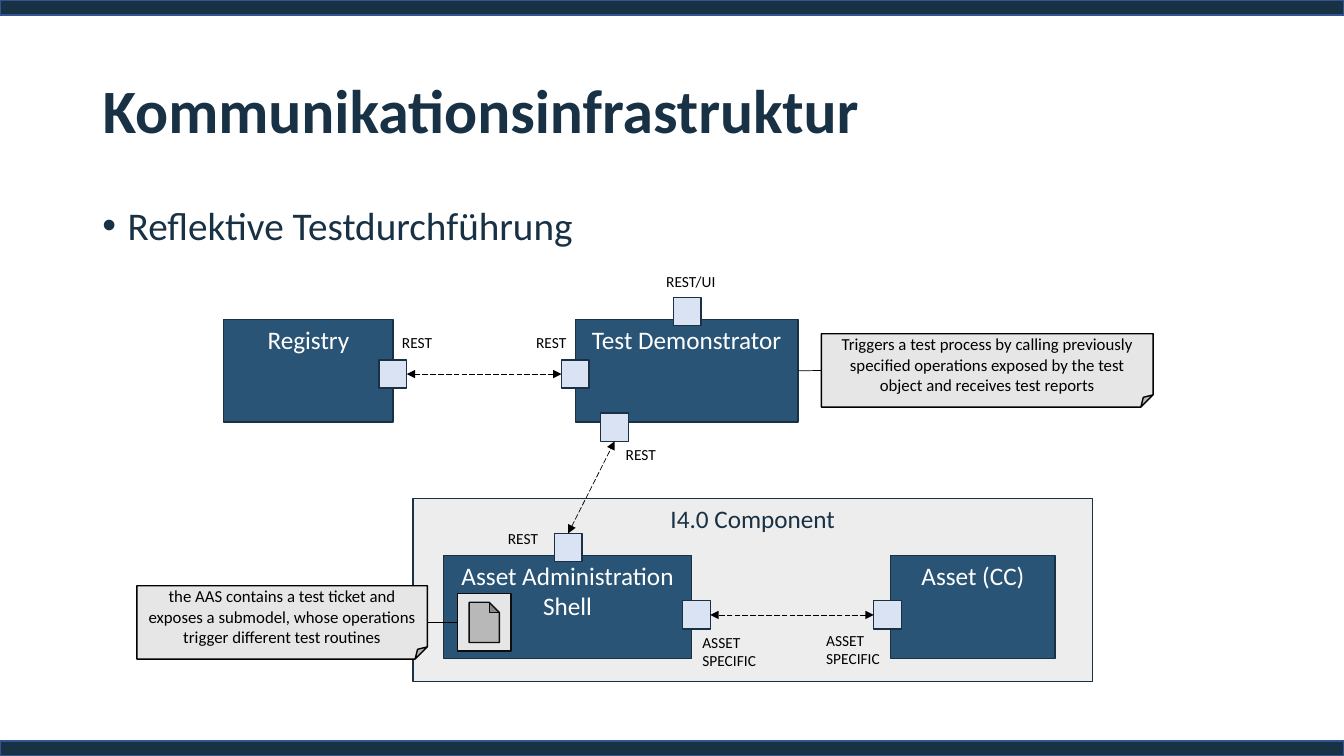
from lxml import etree
from pptx import Presentation
from pptx import util as u
from pptx.dml.color import RGBColor
from pptx.enum import dml, shapes, text
from pptx.oxml import ns

NAVY, BLUE, PALE = "183144", "295475", "DAE3F3"
GREY, BLACK, WHITE = "E7E6E6", "000000", "FFFFFF"
KIND = shapes.MSO_SHAPE
TOP, MID = text.MSO_ANCHOR.TOP, text.MSO_ANCHOR.MIDDLE
UP, LEFT, DOWN, RIGHT = range(4)


def color(code):
    return RGBColor.from_string(code)


def child(parent, tag, **attrs):
    return etree.SubElement(parent, ns.qn(tag), attrs)


class Board:
    font = "Calibri"

    def __init__(self, slide):
        self.slide = slide

    def letter(self, shape, words, size, ink, anchor=TOP, align=None, bold=False):
        frame = shape.text_frame
        frame.word_wrap = True
        frame.vertical_anchor = anchor
        para = frame.paragraphs[0]
        para.alignment = align
        run = para.add_run()
        run.text = words
        run.font.name = self.font
        run.font.size = u.Pt(size)
        run.font.bold = bold
        run.font.color.rgb = color(ink)
        return para

    def title(self, words, *box):
        shape = self.slide.shapes.title
        shape.left, shape.top, shape.width, shape.height = map(u.Cm, box)
        para = self.letter(shape, words, 44, NAVY, MID, text.PP_ALIGN.LEFT, True)
        para.line_spacing = 0.9

    def label(self, words, *box, size=11, ink=BLACK):
        shape = self.slide.shapes.add_textbox(*map(u.Cm, box))
        return self.letter(shape, words, size, ink)

    def bullet(self, words, *box):
        para = self.label(words, *box, size=28, ink=NAVY)
        para.line_spacing = 0.9
        para.space_before = u.Pt(10)
        props = para._p.get_or_add_pPr()
        hang = u.Cm(0.64)
        props.set("marL", str(hang))
        props.set("indent", str(-hang))
        child(props, "a:buFont", typeface="Arial")
        child(props, "a:buChar", char="•")

    def shape(self, kind, fill, line, *box):
        shape = self.slide.shapes.add_shape(kind, *map(u.Cm, box))
        shape.shadow.inherit = False
        shape.fill.solid()
        shape.fill.fore_color.rgb = color(fill)
        shape.line.color.rgb = color(line)
        shape.line.width = u.Pt(1)
        return shape

    def block(self, words, *box, fill=BLUE, ink=WHITE):
        shape = self.shape(KIND.RECTANGLE, fill, NAVY, *box)
        self.letter(shape, words, 18, ink, align=text.PP_ALIGN.CENTER)
        return shape

    def port(self, left, top):
        return self.shape(KIND.RECTANGLE, PALE, NAVY, left, top, 0.7, 0.71)

    def note(self, words, *box):
        shape = self.shape(KIND.FOLDED_CORNER, GREY, BLACK, *box)
        self.letter(shape, words, 12, BLACK, MID, text.PP_ALIGN.CENTER)
        return shape

    def link(self, first, start, last, end, arrows=False):
        line = self.slide.shapes.add_connector(
            shapes.MSO_CONNECTOR.STRAIGHT, 0, 0, 0, 0)
        line.begin_connect(first, start)
        line.end_connect(last, end)
        line.line.color.rgb = color(BLACK)
        line.line.width = u.Pt(0.5)
        if arrows:
            line.line.dash_style = dml.MSO_LINE.LONG_DASH
            props = line.line._get_or_add_ln()
            for tag in ("a:headEnd", "a:tailEnd"):
                child(props, tag, type="triangle")
        child(line._element.spPr, "a:effectLst")


def main():
    deck = Presentation()
    deck.slide_width, deck.slide_height = u.Cm(33.87), u.Cm(19.05)
    board = Board(deck.slides.add_slide(deck.slide_layouts[5]))

    for top in (18.67, 0):
        board.shape(KIND.RECTANGLE, NAVY, "325491", 0, top, 33.87, 0.38)
    board.title("Kommunikationsinfrastruktur", 2.33, 1.01, 29.21, 3.68)
    board.bullet("Reflektive Testdurchführung", 2.33, 5.08, 29.21, 1.5)

    board.block("Registry", 5.64, 8.05, 4.27, 2.59)
    demo = board.block("Test Demonstrator", 14.5, 8.05, 5.61, 2.59)
    board.block("I4.0 Component", 10.41, 12.57, 17.12, 4.6,
                fill="EDEDED", ink=NAVY)
    board.block("Asset Administration Shell", 11.18, 14, 6.25, 2.59)
    board.block("Asset (CC)", 22.45, 14, 4.14, 2.59)

    board.port(16.97, 7.49)
    pairs = (
        ((9.55, 9.07), RIGHT, (14.15, 9.07), LEFT),
        ((13.97, 13.44), UP, (15.14, 10.41), DOWN),
        ((22.02, 15.14), LEFT, (17.2, 15.14), RIGHT),
    )
    for first, start, last, end in pairs:
        board.link(board.port(*first), start, board.port(*last), end, arrows=True)

    for left, top in ((9.88, 8.28), (13.26, 8.26), (15.52, 11.1), (12.55, 13.21)):
        board.label("REST", left, top, 1.42, 0.74)
    board.label("REST/UI", 16.54, 6.73, 1.93, 0.74)
    for left, top in ((20.57, 15.77), (17.45, 15.82)):
        board.label("ASSET SPECIFIC", left, top, 1.93, 1.19)

    ticket = board.shape(KIND.ACTION_BUTTON_DOCUMENT, GREY, "0D0D0D",
                         11.53, 14.96, 1.35, 1.45)
    shell = board.note("the AAS contains a test ticket and exposes a submodel, "
                       "whose operations trigger different test routines",
                       3.45, 14.76, 7.32, 1.85)
    board.link(ticket, LEFT, shell, RIGHT)
    tests = board.note("Triggers a test process by calling previously specified "
                       "operations exposed by the test object and receives "
                       "test reports", 20.7, 8.41, 8.36, 1.85)
    board.link(tests, LEFT, demo, RIGHT)

    deck.save("out.pptx")


if __name__ == "__main__":
    main()
